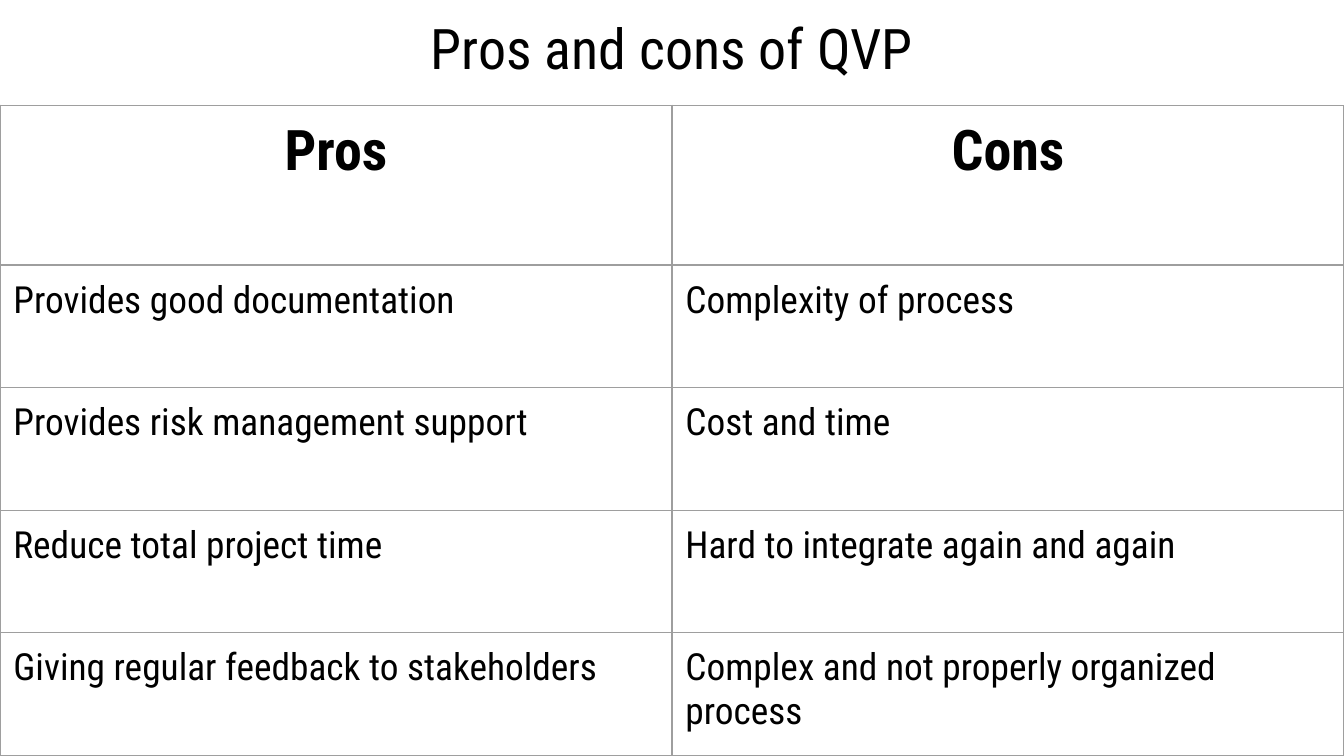
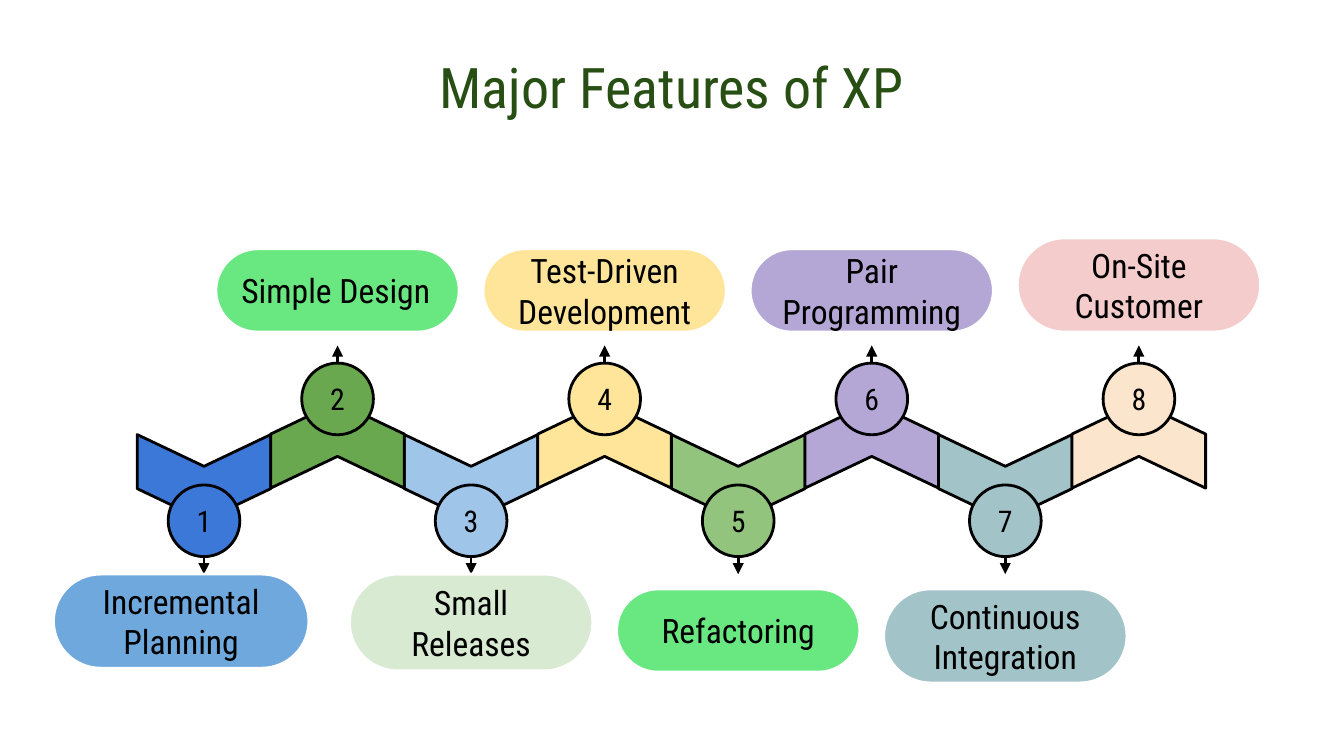
import pptx
import pptx.dml.color
import pptx.enum.shapes
import pptx.enum.text
import pptx.oxml
import pptx.oxml.ns
import pptx.util
from lxml import etree

Pt = pptx.util.Pt
RGB = pptx.dml.color.RGBColor
SHAPE = pptx.enum.shapes.MSO_SHAPE
ALIGN = pptx.enum.text.PP_ALIGN
ANCHOR = pptx.enum.text.MSO_ANCHOR
qn = pptx.oxml.ns.qn

# Shared look
FONT = "Roboto Condensed"
INSET = 7.2
LINE_WIDTH = 1.5
BLACK = RGB(0x00, 0x00, 0x00)
WHITE = RGB(0xFF, 0xFF, 0xFF)
DARK_GREEN = RGB(0x27, 0x4E, 0x13)
GRID_GREY = RGB(0x9E, 0x9E, 0x9E)
BLUE = RGB(0x3C, 0x78, 0xD8)
MID_BLUE = RGB(0x6F, 0xA8, 0xDC)
LIGHT_BLUE = RGB(0x9F, 0xC5, 0xE8)
GREEN = RGB(0x6A, 0xA8, 0x4F)
SOFT_GREEN = RGB(0x93, 0xC4, 0x7D)
PALE_GREEN = RGB(0xD9, 0xEA, 0xD3)
BRIGHT_GREEN = RGB(0x69, 0xE7, 0x81)
YELLOW = RGB(0xFF, 0xE5, 0x99)
PURPLE = RGB(0xB4, 0xA7, 0xD6)
TEAL = RGB(0xA2, 0xC4, 0xC9)
PEACH = RGB(0xFC, 0xE5, 0xCD)
PINK = RGB(0xF4, 0xCC, 0xCC)

PROS_AND_CONS = [
    ("Pros", "Cons"),
    ("Provides good documentation", "Complexity of process"),
    ("Provides risk management support", "Cost and time"),
    ("Reduce total project time", "Hard to integrate again and again"),
    ("Giving regular feedback to stakeholders",
     "Complex and not properly organized process"),
]

# Marker colour, label colour, label lines, label height
FEATURES = [
    (BLUE, MID_BLUE, ["Incremental", "Planning"], 50.4),
    (GREEN, BRIGHT_GREEN, ["Simple Design"], 44.6),
    (LIGHT_BLUE, PALE_GREEN, ["Small", "Releases"], 51.8),
    (YELLOW, YELLOW, ["Test-Driven", "Development"], 44.6),
    (SOFT_GREEN, BRIGHT_GREEN, ["Refactoring"], 44.6),
    (PURPLE, PURPLE, ["Pair Programming"], 44.6),
    (TEAL, TEAL, ["Continuous", "Integration"], 50.4),
    (PEACH, PINK, ["On-Site Customer"], 50.4),
]


def write(tf, lines, size, color=BLACK, bold=False, align=ALIGN.CENTER,
          anchor=ANCHOR.TOP):
    tf.word_wrap = True
    tf.vertical_anchor = anchor
    tf.margin_left = tf.margin_right = Pt(INSET)
    tf.margin_top = tf.margin_bottom = Pt(INSET)
    for i, line in enumerate(lines):
        p = tf.add_paragraph() if i else tf.paragraphs[0]
        p.alignment = align
        r = p.add_run()
        r.text = line
        r.font.name = FONT
        r.font.size = Pt(size)
        r.font.bold = bold
        r.font.color.rgb = color


def add_title(s, text, box, color):
    sp = s.shapes.add_textbox(*map(Pt, box))
    write(sp.text_frame, [text], 30, color)


def add_shape(shapes, kind, box, fill, line):
    sp = shapes.add_shape(kind, *map(Pt, box))
    sp.shadow.inherit = False
    sp.fill.solid()
    sp.fill.fore_color.rgb = fill
    sp.line.color.rgb = line
    sp.line.width = Pt(LINE_WIDTH)
    return sp


def add_arrow(s, x, y1, y2):
    cx = s.shapes.add_connector(pptx.enum.shapes.MSO_CONNECTOR.STRAIGHT,
                                Pt(x), Pt(y1), Pt(x), Pt(y2))
    cx.line.color.rgb = BLACK
    cx.line.width = Pt(LINE_WIDTH)
    etree.SubElement(cx.line._get_or_add_ln(), qn("a:tailEnd"), type="triangle")
    etree.SubElement(cx._element.spPr, qn("a:effectLst"))


def set_borders(cell):
    tcPr = cell._tc.get_or_add_tcPr()
    for i, side in enumerate(("lnL", "lnR", "lnT", "lnB")):
        ln = etree.Element(qn("a:" + side), w=str(Pt(0.75)))
        fill = etree.SubElement(ln, qn("a:solidFill"))
        etree.SubElement(fill, qn("a:srgbClr"), val=str(GRID_GREY))
        tcPr.insert(i, ln)


def add_comparison(s, box, rows, header_height):
    x, y, w, h = box
    cols = len(rows[0])
    table = s.shapes.add_table(len(rows), cols, *map(Pt, box)).table
    table.first_row = table.horz_banding = False
    for col in table.columns:
        col.width = Pt(w / cols)
    for i, texts in enumerate(rows):
        header = i == 0
        table.rows[i].height = Pt(
            header_height if header else (h - header_height) / (len(rows) - 1))
        for j, text in enumerate(texts):
            cell = table.cell(i, j)
            cell.fill.background()
            set_borders(cell)
            cell.margin_left = cell.margin_right = Pt(INSET)
            cell.margin_top = cell.margin_bottom = Pt(INSET)
            write(cell.text_frame, [text], 30 if header else 20, bold=header,
                  align=ALIGN.CENTER if header else ALIGN.LEFT)


def add_marker(s, number, cx, chevron_cy, circle_cy, step, color, up):
    """Chevron link of the ribbon with its numbered circle."""
    width, diameter = 46, 38.4
    shapes = s.shapes.add_group_shape().shapes
    chevron = add_shape(
        shapes, SHAPE.CHEVRON,
        (cx - width / 2, chevron_cy - step / 2, width, step), color, BLACK)
    chevron.adjustments[0] = 0.37
    chevron.rotation = 270 if up else 90
    circle = add_shape(
        shapes, SHAPE.OVAL,
        (cx - diameter / 2, circle_cy - diameter / 2, diameter, diameter),
        color, BLACK)
    write(circle.text_frame, [str(number)], 16, anchor=ANCHOR.MIDDLE)


def add_label(s, box, lines, color, align):
    sp = add_shape(s.shapes, SHAPE.ROUNDED_RECTANGLE, box, color, WHITE)
    sp.adjustments[0] = 0.5
    write(sp.text_frame, lines, 18, align=align, anchor=ANCHOR.MIDDLE)


def add_timeline(s, box, features):
    x, y, w, h = box
    step = w / len(features)
    arrow, radius = 9.4, 19.2
    ribbon_cy = y + h / 2 + 0.8
    stages = [(n, x + (n - 0.5) * step, n % 2 == 0, *feature)
              for n, feature in enumerate(features, 1)]
    stages.sort(key=lambda stage: stage[2])  # lower row first

    # Ribbon
    for n, cx, up, color, *_ in stages:
        chevron_cy = ribbon_cy + (-8.65 if up else 8.65)
        circle_cy = y + arrow + radius if up else y + h - arrow - radius
        add_marker(s, n, cx, chevron_cy, circle_cy, step, color, up)

    # Arrows and labels
    for n, cx, up, _, color, lines, height in stages:
        if up:
            add_arrow(s, cx, y + arrow, y)
            top = y - 7.2 - height
        else:
            add_arrow(s, cx, y + h - arrow, y + h)
            top = y + h + (0 if n < 5 else 7.9)
        width = 130.3
        if n == 1:  # wider and set further left
            width, cx = 136.8, cx - 12.2
        add_label(s, (cx - width / 2, top, width, height), lines, color,
                  ALIGN.LEFT if n == 2 else ALIGN.CENTER)


def build_comparison_slide(prs):
    s = prs.slides.add_slide(prs.slide_layouts[6])
    add_title(s, "Pros and cons of QVP", (36, 0, 648, 56.2), BLACK)
    add_comparison(s, (0, 56.4, 720, 348.4), PROS_AND_CONS, 85.6)


def build_xp_slide(prs):
    s = prs.slides.add_slide(prs.slide_layouts[6])
    add_title(s, "Major Features of XP", (36, 20.9, 648, 45.4), DARK_GREEN)
    add_timeline(s, (73.5, 185.1, 572.4, 122.5), FEATURES)


def main():
    prs = pptx.Presentation()
    prs.slide_width, prs.slide_height = Pt(720), Pt(405)
    build_comparison_slide(prs)
    build_xp_slide(prs)
    prs.save("out.pptx")


if __name__ == "__main__":
    main()
